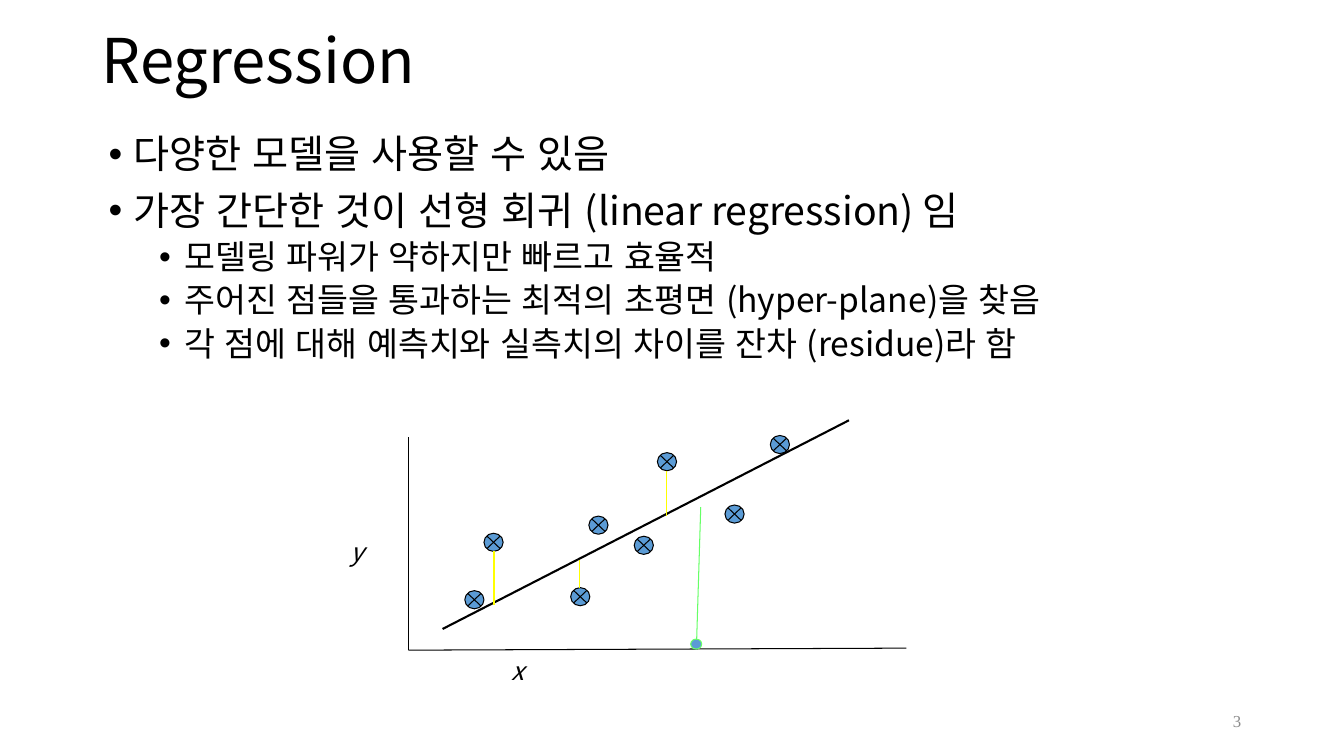
from dataclasses import dataclass

import lxml.etree
import pptx
import pptx.dml.color
import pptx.enum.lang
import pptx.enum.shapes
import pptx.enum.text
import pptx.oxml.ns
import pptx.text.text
import pptx.util

PX = 9144  # EMU per px, 100 px to the inch
BLACK = pptx.dml.color.RGBColor(0x00, 0x00, 0x00)
GRAY = pptx.dml.color.RGBColor(0x8C, 0x8C, 0x8C)
BLUE = pptx.dml.color.RGBColor(0x5B, 0x9B, 0xD5)
YELLOW = pptx.dml.color.RGBColor(0xFF, 0xFF, 0x00)
GREEN = pptx.dml.color.RGBColor(0x66, 0xFF, 0x66)
SANS = "Noto Sans CJK KR"
SERIF = "Times New Roman"
SHAPE = pptx.enum.shapes.MSO_SHAPE
ANCHOR = pptx.enum.text.MSO_ANCHOR
ALIGN = pptx.enum.text.PP_ALIGN
KOREAN = pptx.enum.lang.MSO_LANGUAGE_ID.KOREAN
qn = pptx.oxml.ns.qn


@dataclass(frozen=True)
class Box:
    left: int
    top: int
    width: int
    height: int

    def emu(self) -> tuple[int, int, int, int]:
        return self.left * PX, self.top * PX, self.width * PX, self.height * PX


@dataclass(frozen=True)
class Label:
    text: str
    box: Box
    size: int
    font: str = SANS
    color: pptx.dml.color.RGBColor = BLACK
    italic: bool = False
    anchor: ANCHOR = ANCHOR.TOP
    align: ALIGN = ALIGN.LEFT
    line_spacing: float = 1.0


@dataclass(frozen=True)
class Line:
    start: tuple[int, int]
    end: tuple[int, int]
    color: pptx.dml.color.RGBColor
    weight: float


@dataclass(frozen=True)
class Level:
    size: int
    space_before: int
    margin: int


TIGHT = 0.9  # line spacing of the title and the bullets
TOP_LEVEL = Level(28, 10, 25)
SUB_LEVEL = Level(24, 5, 75)
HANGING = 25
BODY_BOX = Box(98, 129, 1117, 317)
BULLETS = [
    (TOP_LEVEL, "다양한 모델을 사용할 수 있음"),
    (TOP_LEVEL, "가장 간단한 것이 선형 회귀 (linear regression) 임"),
    (SUB_LEVEL, "모델링 파워가 약하지만 빠르고 효율적"),
    (SUB_LEVEL, "주어진 점들을 통과하는 최적의 초평면 (hyper-plane)을 찾음"),
    (SUB_LEVEL, "각 점에 대해 예측치와 실측치의 차이를 잔차 (residue)라 함"),
]

TITLE = Label("Regression", Box(91, -9, 1150, 145), 44,
              anchor=ANCHOR.MIDDLE, line_spacing=TIGHT)
PAGE_NUMBER = Label("3", Box(941, 695, 300, 40), 12, SERIF, GRAY,
                    anchor=ANCHOR.MIDDLE, align=ALIGN.RIGHT)
AXIS_LABELS = [
    Label("y", Box(338, 527, 44, 50), 18, italic=True),
    Label("x", Box(498, 645, 43, 50), 18, italic=True),
]

ORIGIN = (405, 645)
AXES = [
    Line((405, 434), ORIGIN, BLACK, 0.75),
    Line(ORIGIN, (899, 643), BLACK, 0.75),
]
POINT_WIDTH, POINT_HEIGHT = 19, 18
DATA_POINTS = [(461, 586), (584, 512), (480, 529), (652, 449),
               (566, 583), (629, 532), (719, 501), (764, 432)]
REGRESSION_LINE = Line((439, 624), (842, 417), BLACK, 1.5)
RESIDUES = [
    Line((490, 547), (490, 600), YELLOW, 1),
    Line((661, 467), (661, 512), YELLOW, 1),
    Line((575, 556), (575, 583), YELLOW, 1),
]
QUERY_POINT = Box(685, 634, 11, 10)
PREDICTION = Line((691, 634), (695, 503), GREEN, 0.75)


def style_run(run: pptx.text.text._Run, size: int, font: str,
              color: pptx.dml.color.RGBColor, italic: bool = False) -> None:
    run.font.size = pptx.util.Pt(size)
    run.font.name = font
    run.font.color.rgb = color
    run.font.italic = italic
    run.font.language_id = KOREAN


def draw_label(shapes, label: Label) -> None:
    frame = shapes.add_textbox(*label.box.emu()).text_frame
    frame.word_wrap = True
    frame.vertical_anchor = label.anchor
    frame.text = label.text
    paragraph = frame.paragraphs[0]
    paragraph.alignment = label.align
    paragraph.line_spacing = label.line_spacing
    style_run(paragraph.runs[0], label.size, label.font, label.color, label.italic)


def draw_bullets(shapes) -> None:
    frame = shapes.add_textbox(*BODY_BOX.emu()).text_frame
    frame.word_wrap = True
    for index, (level, text) in enumerate(BULLETS):
        paragraph = frame.add_paragraph() if index else frame.paragraphs[0]
        paragraph.text = text
        paragraph.level = int(level is SUB_LEVEL)
        paragraph.line_spacing = TIGHT
        paragraph.space_before = pptx.util.Pt(level.space_before)
        style_run(paragraph.runs[0], level.size, SANS, BLACK)
        properties = paragraph._p.get_or_add_pPr()
        properties.set("marL", str(level.margin * PX))
        properties.set("indent", str(-HANGING * PX))
        lxml.etree.SubElement(properties, qn("a:buFont")).set("typeface", "Arial")
        lxml.etree.SubElement(properties, qn("a:buChar")).set("char", "•")


def draw_line(shapes, line: Line) -> None:
    connector = shapes.add_connector(
        pptx.enum.shapes.MSO_CONNECTOR.STRAIGHT,
        *(value * PX for value in line.start + line.end))
    connector.line.color.rgb = line.color
    connector.line.width = pptx.util.Pt(line.weight)
    lxml.etree.SubElement(connector._element.spPr, qn("a:effectLst"))


def draw_marker(shapes, kind: SHAPE, box: Box,
                outline: pptx.dml.color.RGBColor) -> None:
    marker = shapes.add_shape(kind, *box.emu())
    marker.shadow.inherit = False
    marker.fill.solid()
    marker.fill.fore_color.rgb = BLUE
    marker.line.color.rgb = outline
    marker.line.width = pptx.util.Pt(0.75)


def draw_plot(shapes) -> None:
    for axis in AXES:
        draw_line(shapes, axis)
    for left, top in DATA_POINTS:
        draw_marker(shapes, SHAPE.FLOWCHART_SUMMING_JUNCTION,
                    Box(left, top, POINT_WIDTH, POINT_HEIGHT), BLACK)
    for line in [REGRESSION_LINE, *RESIDUES]:
        draw_line(shapes, line)
    for label in AXIS_LABELS:
        draw_label(shapes, label)
    draw_marker(shapes, SHAPE.OVAL, QUERY_POINT, GREEN)
    draw_line(shapes, PREDICTION)


def main() -> None:
    deck = pptx.Presentation()
    deck.slide_width = 1333 * PX
    deck.slide_height = 750 * PX
    slide = deck.slides.add_slide(deck.slide_layouts[6])

    # Page number, title and bullets
    draw_label(slide.shapes, PAGE_NUMBER)
    draw_label(slide.shapes, TITLE)
    draw_bullets(slide.shapes)

    # Regression plot, kept as one group
    draw_plot(slide.shapes.add_group_shape().shapes)

    deck.save("out.pptx")


if __name__ == "__main__":
    main()
